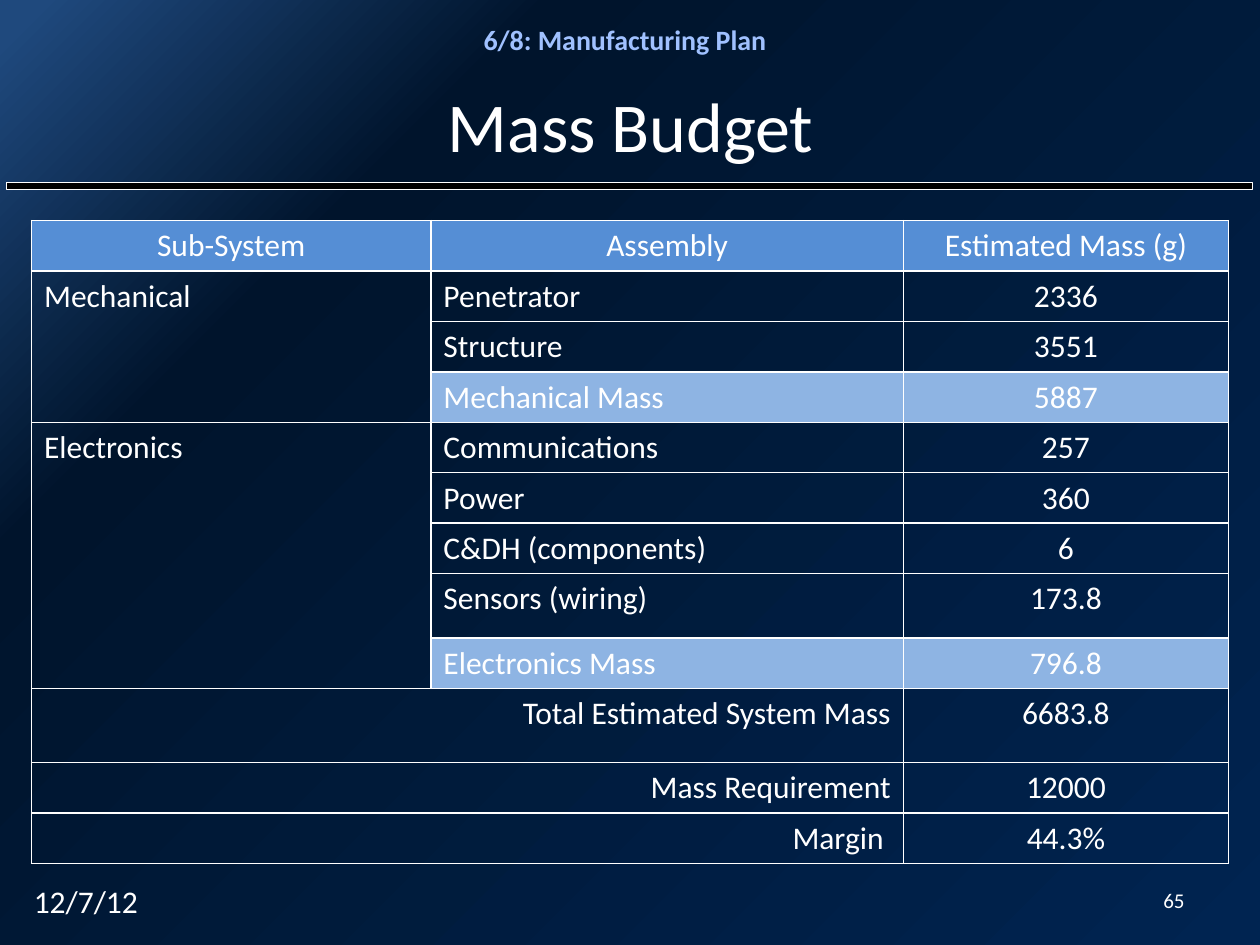
from copy import deepcopy
from dataclasses import dataclass

from lxml import etree
from pptx import Presentation
from pptx.dml.color import RGBColor
from pptx.enum.shapes import MSO_SHAPE
from pptx.enum.text import MSO_ANCHOR, PP_ALIGN
from pptx.oxml.ns import qn
from pptx.util import Inches, Pt

LEFT, MID, RIGHT = PP_ALIGN.LEFT, PP_ALIGN.CENTER, PP_ALIGN.RIGHT
TOP, CENTER = MSO_ANCHOR.TOP, MSO_ANCHOR.MIDDLE
RECT = MSO_SHAPE.RECTANGLE


@dataclass(frozen=True)
class Theme:
    """Colours, font and type sizes of the deck."""
    font: str = "Calibri"
    white: str = "FFFFFF"
    black: str = "000000"
    label: str = "A0C1FF"
    head: str = "558ED5"
    total: str = "8EB4E3"
    back: tuple = ((0.02, "1F497D"), (0.25, "00142C"), (1, "002451"))
    title: int = 40
    body: int = 18
    tag: int = 16
    small: int = 12


THEME = Theme()
COLS = (3.17, 3.75, 2.58)
ROW = 0.38
TALL = {7: 0.51, 9: 0.59}
HEADS = ("Sub-System", "Assembly", "Estimated Mass (g)")
GROUPS = (
    ("Mechanical", (("Penetrator", "2336"), ("Structure", "3551"),
                    ("Mechanical Mass", "5887"))),
    ("Electronics", (("Communications", "257"), ("Power", "360"),
                     ("C&DH (components)", "6"), ("Sensors (wiring)", "173.8"),
                     ("Electronics Mass", "796.8"))),
)
SUMS = (("Total Estimated System Mass", "6683.8"),
        ("Mass Requirement", "12000"), ("Margin ", "44.3%"))


def rgb(code):
    """Turn a hex code into a colour."""
    return RGBColor.from_string(code)


def write(frame, text, size, align=LEFT, color=THEME.white, bold=False):
    """Put one formatted line into a text frame."""
    para = frame.paragraphs[0]
    para.alignment = align
    run = para.add_run()
    run.text = text
    form = {"name": THEME.font, "size": Pt(size), "bold": bold}
    for key, value in form.items():
        setattr(run.font, key, value)
    run.font.color.rgb = rgb(color)


def add_text(slide, box, text, size, anchor=TOP, **form):
    """Add a wrapped text box."""
    frame = slide.shapes.add_textbox(*map(Inches, box)).text_frame
    frame.word_wrap = True
    frame.vertical_anchor = anchor
    write(frame, text, size, **form)


def add_back(slide):
    """Fill the background with a diagonal gradient."""
    fill = slide.background.fill
    fill.gradient()
    fill.gradient_angle = 315
    stops = slide.element.find(".//" + qn("a:gsLst"))
    stops.append(deepcopy(stops[-1]))
    for stop, (place, code) in zip(fill.gradient_stops, THEME.back):
        stop.position = place
        stop.color.rgb = rgb(code)


def add_bar(slide, box):
    """Add the rule under the title."""
    bar = slide.shapes.add_shape(RECT, *map(Inches, box))
    bar.shadow.inherit = False
    bar.fill.solid()
    bar.fill.fore_color.rgb = rgb(THEME.black)
    bar.line.color.rgb = rgb(THEME.white)
    bar.line.width = Pt(0.25)


def edge(cell):
    """Draw white lines on all sides of a cell."""
    props = cell._tc.get_or_add_tcPr()
    for place, side in enumerate(("lnL", "lnR", "lnT", "lnB")):
        line = etree.Element(qn("a:" + side), w=str(Pt(1)))
        paint = etree.SubElement(line, qn("a:solidFill"))
        etree.SubElement(paint, qn("a:srgbClr"), val=THEME.white)
        props.insert(place, line)


def set_cell(cell, text, align=LEFT, fill=None):
    """Write a cell and paint it when a fill is given."""
    write(cell.text_frame, text, THEME.body, align)
    if fill:
        cell.fill.solid()
        cell.fill.fore_color.rgb = rgb(fill)


def add_budget(slide, box):
    """Add the mass budget table."""
    count = 1 + sum(len(parts) for _, parts in GROUPS) + len(SUMS)
    table = slide.shapes.add_table(count, len(COLS), *map(Inches, box)).table
    table.first_row = table.horz_banding = False
    for col, width in zip(table.columns, COLS):
        col.width = Inches(width)
    for num, row in enumerate(table.rows):
        row.height = Inches(TALL.get(num, ROW))
    for cell in table.iter_cells():
        cell.fill.background()
        edge(cell)
    for num, text in enumerate(HEADS):
        set_cell(table.cell(0, num), text, MID, THEME.head)
    row = 1
    for name, parts in GROUPS:
        last = row + len(parts) - 1
        table.cell(row, 0).merge(table.cell(last, 0))
        set_cell(table.cell(row, 0), name)
        for num, (part, mass) in enumerate(parts, row):
            fill = THEME.total if num == last else None
            set_cell(table.cell(num, 1), part, LEFT, fill)
            set_cell(table.cell(num, 2), mass, MID, fill)
        row = last + 1
    for num, (name, mass) in enumerate(SUMS, row):
        table.cell(num, 0).merge(table.cell(num, 1))
        set_cell(table.cell(num, 0), name, RIGHT)
        set_cell(table.cell(num, 2), mass, MID)


def add_header(slide, box):
    """Add section label, title and rule."""
    left, top, width, _ = box
    add_text(slide, (left + 2.42, top + 0.13, 5.08, 0.37),
             "6/8: Manufacturing Plan", THEME.tag,
             align=MID, color=THEME.label, bold=True)
    add_text(slide, (left + 0.88, top + 0.55, 8.25, 0.88), "Mass Budget",
             THEME.title, CENTER, align=MID)
    add_bar(slide, (left + 0.05, top + 1.45, width - 0.11, 0.05))


def add_footer(slide, box):
    """Add date and slide number."""
    left, top, width, _ = box
    add_text(slide, (left + 0.17, top, 2.33, 0.4), "12/7/12", THEME.body)
    add_text(slide, (left + width - 0.92, top, 0.42, 0.38), "65",
             THEME.small, CENTER, align=RIGHT)


def main():
    """Build and save the slide."""
    deck = Presentation()
    deck.slide_width, deck.slide_height = Inches(10), Inches(7.5)
    slide = deck.slides.add_slide(deck.slide_layouts[6])
    add_back(slide)
    add_header(slide, (0, 0, 10, 1.5))
    add_budget(slide, (0.25, 1.75, 9.5, 5.1))
    add_footer(slide, (0, 6.95, 10, 0.4))
    deck.save("out.pptx")


if __name__ == "__main__":
    main()
